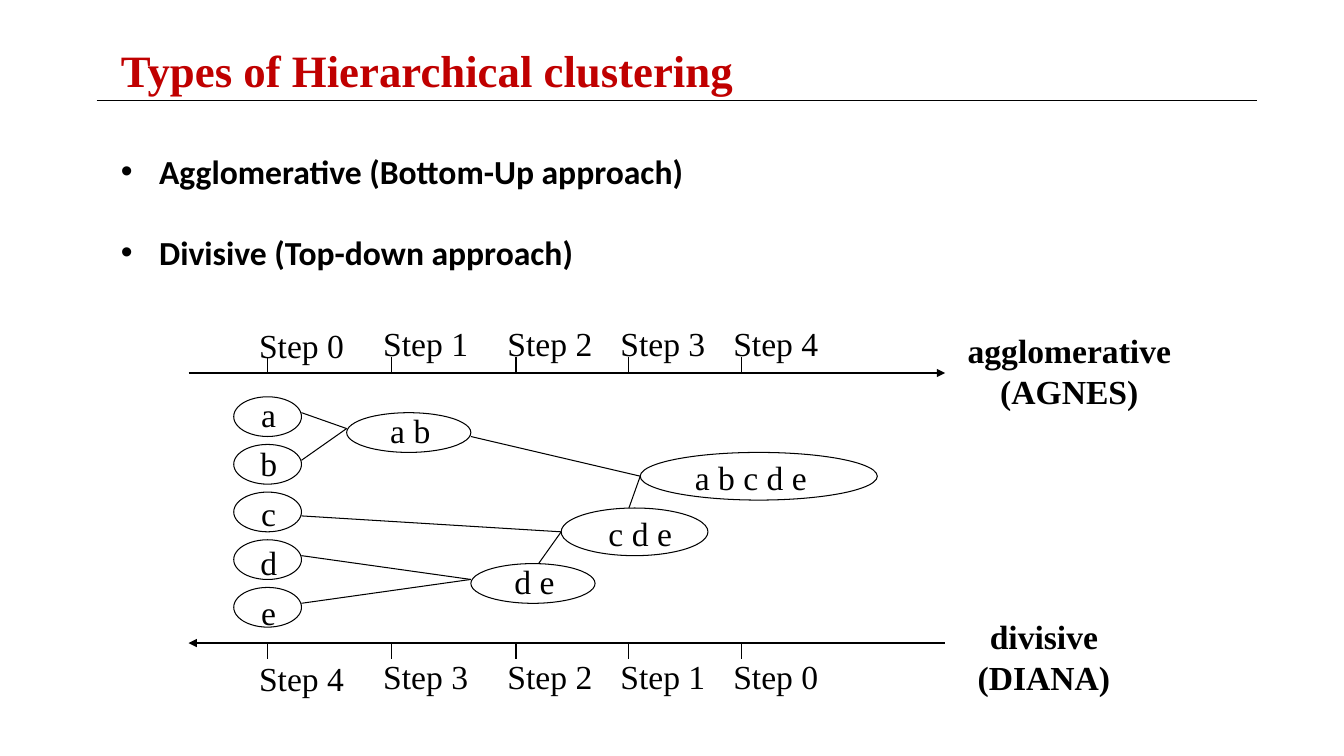
from dataclasses import dataclass
from typing import NamedTuple

from lxml.etree import SubElement
from pptx import Presentation
from pptx.dml.color import RGBColor
from pptx.enum.shapes import MSO_CONNECTOR as CONN, MSO_SHAPE as SHAPE
from pptx.enum.text import MSO_ANCHOR as ANCHOR, MSO_AUTO_SIZE as AUTO, PP_ALIGN as ALIGN
from pptx.oxml.ns import qn
from pptx.util import Inches, Pt


@dataclass(frozen=True)
class Theme:
    ink: RGBColor = RGBColor(0, 0, 0)
    accent: RGBColor = RGBColor(0xC0, 0, 0)
    serif: str = "Times New Roman"
    sans: str = "Calibri"
    title: int = 32
    text: int = 24
    thin: float = 0.75
    rule: float = 1
    axis: float = 1.5


class Grid(NamedTuple):
    left: float
    top: float
    col: float
    row: float

    def point(self, c: float, r: float) -> tuple:
        return Inches(self.left + c * self.col), Inches(self.top + r * self.row)

    def box(self, c: float, r: float, cols: float, rows: float) -> tuple:
        return *self.point(c, r), Inches(cols * self.col), Inches(rows * self.row)


class Cluster(NamedTuple):
    name: str
    col: float
    row: float
    cols: float
    rows: float
    label_center: float
    label_row: float


class Link(NamedTuple):
    start: tuple
    end: tuple


class Axis(NamedTuple):
    row: float
    tick_end: float
    label_row: float
    first_drop: float
    steps: tuple
    arrow: str


class SideLabel(NamedTuple):
    lines: tuple
    col: float
    row: float
    cols: float


THEME = Theme()
WIDTH, HEIGHT = 13.33, 7.5
PAGE = Grid(0, 0, WIDTH / 100, HEIGHT / 100)
DIAGRAM = Grid(1.87, 3.7, 0.112, 0.0788)
AXIS_COLS = 67
TICKS = (7, 18, 29, 39, 49)
LABEL_ROWS = 6.3

AXES = (
    Axis(0, -2, -6.9, 0.2, (0, 1, 2, 3, 4), "a:tailEnd"),
    Axis(34, 36, 35, 0.25, (4, 3, 2, 1, 0), "a:headEnd"),
)
LEAVES = tuple(Cluster(name, 4, 3 + 6 * i, 6, 5, 7.1, 2 + 6.22 * i)
               for i, name in enumerate("abcde"))
MERGES = (
    Cluster("a b", 14, 5, 11, 5, 19.64, 4.06),
    Cluster("d e", 25, 24, 11, 5, 30.63, 23),
    Cluster("c d e", 33, 17, 13, 6, 40, 17),
    Cluster("a b c d e", 40, 10, 21, 6, 49.8, 10),
)
LINKS = (
    Link((10, 5), (14, 7)),
    Link((10, 11), (14, 7)),
    Link((10, 23), (25, 26)),
    Link((10, 29), (25, 26)),
    Link((10, 18), (33, 20)),
    Link((31, 24), (33, 20)),
    Link((25, 8), (40, 13)),
    Link((39, 17), (40, 13)),
)
SIDE_LABELS = (
    SideLabel(("agglomerative", "(AGNES)"), 68, -6, 20),
    SideLabel(("divisive", "(DIANA)"), 68.9, 30, 13.7),
)
APPROACHES = ("Agglomerative (Bottom-Up approach)", "Divisive (Top-down approach)")


def apply(target, values: dict) -> None:
    for name, value in values.items():
        setattr(target, name, value)


def style(r, font: str = THEME.serif, size: int = THEME.text,
          color: RGBColor = THEME.ink, bold: bool = False) -> None:
    apply(r.font, {"name": font, "size": Pt(size), "bold": bold})
    r.font.color.rgb = color


def add_line(shapes, grid: Grid, link: Link, width: float = THEME.thin, arrow: str = ""):
    s = shapes.add_connector(CONN.STRAIGHT, *grid.point(*link.start), *grid.point(*link.end))
    s.line.width = Pt(width)
    s.line.color.rgb = THEME.ink
    if arrow:
        SubElement(s.line._get_or_add_ln(), qn(arrow), type="triangle")
    SubElement(s._element.spPr, qn("a:effectLst"))
    return s


def add_text(shapes, box: tuple, lines: tuple, wrap: bool = False,
             align: ALIGN = ALIGN.CENTER, **font):
    tf = shapes.add_textbox(*box).text_frame
    apply(tf, {"word_wrap": wrap, "auto_size": AUTO.SHAPE_TO_FIT_TEXT,
               "vertical_anchor": ANCHOR.TOP})
    for i, line in enumerate(lines):
        p = tf.add_paragraph() if i else tf.paragraphs[0]
        p.alignment = align
        r = p.add_run()
        r.text = line
        style(r, **font)
    return tf


def add_title(s) -> None:
    sp = s.shapes.title
    apply(sp, dict(zip(("left", "top", "width", "height"), PAGE.box(8.25, 0, 75.25, 19.33))))
    tf = sp.text_frame
    apply(tf, {"vertical_anchor": ANCHOR.MIDDLE, "word_wrap": True, "auto_size": AUTO.NONE})
    p = tf.paragraphs[0]
    apply(p, {"alignment": ALIGN.LEFT, "line_spacing": 0.9})
    r = p.add_run()
    r.text = "Types of Hierarchical clustering"
    style(r, size=THEME.title, color=THEME.accent, bold=True)


def add_approaches(shapes) -> None:
    tf = add_text(shapes, PAGE.box(8.25, 19.33, 85.2, 17.5), APPROACHES, wrap=True,
                  align=ALIGN.LEFT, font=THEME.sans, bold=True)
    tf.paragraphs[1].space_before = Pt(29)
    indent = Inches(0.38)
    for p in tf.paragraphs:
        pPr = p._p.get_or_add_pPr()
        pPr.set("marL", str(indent))
        pPr.set("indent", str(-indent))
        SubElement(pPr, qn("a:buFont"), typeface="Arial")
        SubElement(pPr, qn("a:buChar"), char="•")


def add_axis(shapes, axis: Axis) -> None:
    add_line(shapes, DIAGRAM, Link((0, axis.row), (AXIS_COLS, axis.row)), THEME.axis, axis.arrow)
    for i, (tick, step) in enumerate(zip(TICKS, axis.steps)):
        drop = 0 if i else axis.first_drop
        add_line(shapes, DIAGRAM, Link((tick, axis.row), (tick, axis.tick_end)))
        add_text(shapes, DIAGRAM.box(tick - 2, axis.label_row + drop, 10, LABEL_ROWS),
                 (f"Step {step}",), wrap=True)


def add_cluster(shapes, cluster: Cluster) -> None:
    sp = shapes.add_shape(SHAPE.OVAL, *DIAGRAM.box(*cluster[1:5]))
    sp.shadow.inherit = False
    sp.fill.background()
    sp.line.width = Pt(THEME.thin)
    sp.line.color.rgb = THEME.ink
    cols = 1.5 + 2.15 * len(cluster.name.split())
    add_text(shapes, DIAGRAM.box(cluster.label_center - cols / 2, cluster.label_row,
                                 cols, LABEL_ROWS), (cluster.name,))


def main() -> None:
    """Build the hierarchical clustering slide."""
    prs = Presentation()
    apply(prs, {"slide_width": Inches(WIDTH), "slide_height": Inches(HEIGHT)})
    s = prs.slides.add_slide(prs.slide_layouts[5])
    add_title(s)
    add_line(s.shapes, PAGE, Link((7.2, 13.33), (93.5, 13.33)), THEME.rule)
    add_approaches(s.shapes)
    diagram = s.shapes.add_group_shape().shapes
    for axis in AXES:
        add_axis(diagram, axis)
    for cluster in LEAVES + MERGES:
        add_cluster(diagram, cluster)
    for link in LINKS:
        add_line(diagram, DIAGRAM, link)
    for label in SIDE_LABELS:
        add_text(diagram, DIAGRAM.box(label.col, label.row, label.cols, 11.55),
                 label.lines, bold=True)
    prs.save("out.pptx")


if __name__ == "__main__":
    main()
